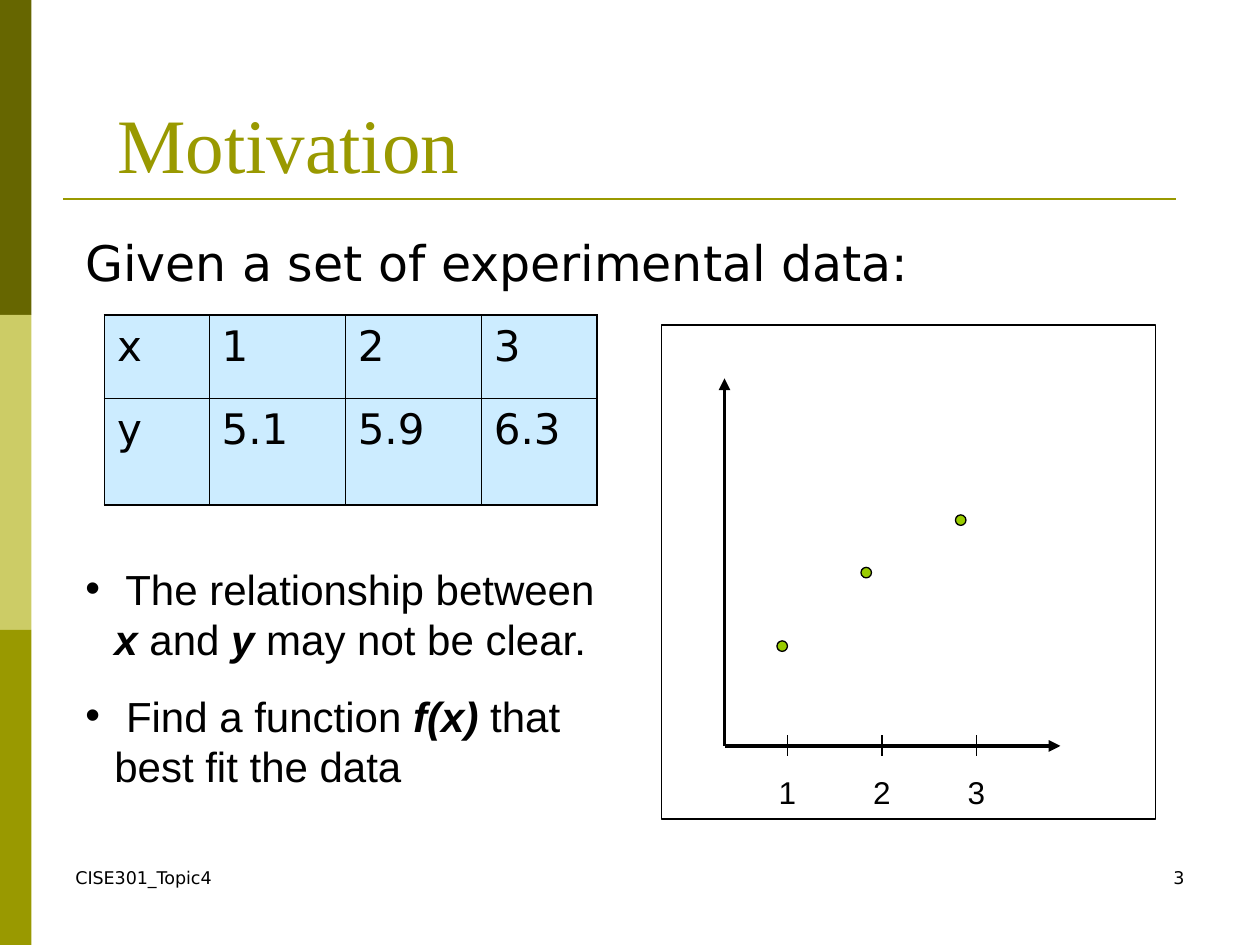
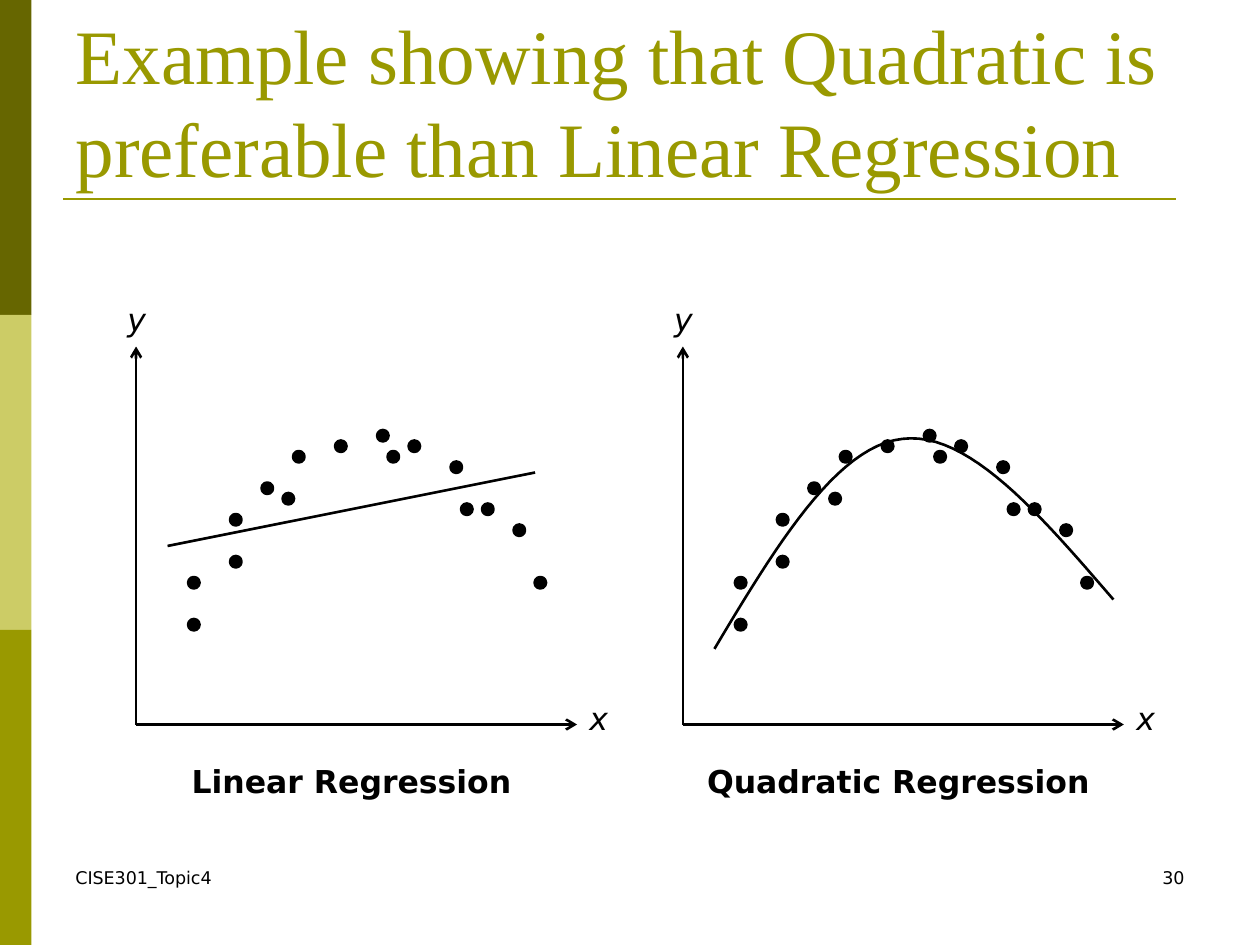
from lxml import etree
from pptx import Presentation
from pptx.dml.color import RGBColor
from pptx.enum.shapes import MSO_CONNECTOR, MSO_SHAPE
from pptx.enum.text import MSO_ANCHOR, MSO_AUTO_SIZE, PP_ALIGN
from pptx.oxml.ns import qn
from pptx.util import Inches, Pt

LEFT, CENTER, RIGHT = PP_ALIGN.LEFT, PP_ALIGN.CENTER, PP_ALIGN.RIGHT
RECTANGLE, OVAL = MSO_SHAPE.RECTANGLE, MSO_SHAPE.OVAL
STRAIGHT = MSO_CONNECTOR.STRAIGHT

COLORS = {
    "ink": "000000",
    "olive": "999900",
    "dark_olive": "666600",
    "pale_olive": "CCCC66",
    "cell": "CCECFF",
    "lime": "99CC00",
}
SANS, ARIAL, SERIF = "DejaVu Sans", "Arial", "Times New Roman"
LEADING = 1.2
UNIT = 1 / 12  # plots are laid out on a grid of twelfths of an inch

FOOTER = "CISE301_Topic4"
BANDS = ["dark_olive", "pale_olive", "olive"]

# Slide "Motivation"
INTRO = "Given a set of experimental data:"
DATA = [["x", "1", "2", "3"], ["y", "5.1", "5.9", "6.3"]]
COLUMN_WIDTHS = [0.83, 1.08, 1.08, 0.92]
ROW_HEIGHTS = [0.66, 0.85]
# Each point is a list of (text, emphasised)
POINTS = [
    [(" The relationship between ", False), ("x", True), (" and ", False),
     ("y", True), (" may not be clear.", False)],
    [(" Find a function ", False), ("f(x)", True),
     (" that best fit the data", False)],
]
# Plot values are grid units (across, up) from the origin of the axes
EXPERIMENT_DOTS = [(5, 10), (13, 17), (22, 22)]
TICKS = [("1", 6), ("2", 15), ("3", 24)]

# Slide on the two regressions
SAMPLE_DOTS = [
    (5, 10), (5, 14), (9, 16), (9, 20), (12, 23), (14, 22), (15, 26), (19, 27),
    (23, 28), (24, 26), (26, 27), (30, 25), (31, 21), (33, 21), (36, 19), (38, 14),
]
FIT_LINE = [(3, 17), (38, 24)]
FIT_CURVE = [
    [(3, 7.2), (8.8, 16.9), (14.6, 26.5), (20.9, 27.2)],
    [(20.9, 27.2), (27.2, 28), (34.1, 19.9), (41, 11.9)],
]
REGRESSIONS = [
    ("Linear Regression", 1.08),
    ("Quadratic Regression", 5.42),
]


def color(name):
    return RGBColor.from_string(COLORS[name])


def format_runs(paragraph, font, size, tint="ink", align=LEFT, bold=False, italic=False):
    paragraph.alignment = align
    paragraph.line_spacing = Pt(size * LEADING)
    for run in paragraph.runs:
        run.font.name, run.font.size = font, Pt(size)
        run.font.bold, run.font.italic = bold, italic
        run.font.color.rgb = color(tint)


def add_text(slide, text, left, top, width, height, font, size, **style):
    box = slide.shapes.add_textbox(
        Inches(left), Inches(top), Inches(width), Inches(height))
    frame = box.text_frame
    frame.word_wrap = True
    frame.text = text
    format_runs(frame.paragraphs[0], font, size, **style)
    return frame


def add_shape(slide, kind, left, top, width, height, fill=None, line_width=None):
    shape = slide.shapes.add_shape(
        kind, Inches(left), Inches(top), Inches(width), Inches(height))
    shape.shadow.inherit = False
    if fill:
        shape.fill.solid()
        shape.fill.fore_color.rgb = color(fill)
    else:
        shape.fill.background()
    if line_width:
        shape.line.color.rgb = color("ink")
        shape.line.width = Pt(line_width)
    else:
        shape.line.fill.background()


def add_line(slide, start, end, width, tint="ink", head=None):
    line = slide.shapes.add_connector(STRAIGHT, *map(Inches, (*start, *end)))
    line.line.color.rgb = color(tint)
    line.line.width = Pt(width)
    if head:
        etree.SubElement(line.line._get_or_add_ln(), qn("a:tailEnd"), type=head)
    etree.SubElement(line._element.spPr, qn("a:effectLst"))


def add_slide(prs, title, title_box, number):
    """Add a slide with its side bands, title, rule and footers."""
    slide = prs.slides.add_slide(prs.slide_layouts[5])
    for row, band in enumerate(BANDS):
        add_shape(slide, RECTANGLE, 0, 2.5 * row, 0.25, 2.5, band)
    add_line(slide, (0.5, 1.58), (9.33, 1.58), 1.5, "olive")

    heading = slide.shapes.title
    heading.left, heading.top, heading.width, heading.height = map(Inches, title_box)
    frame = heading.text_frame
    frame.text = title
    frame.word_wrap = True
    frame.auto_size = MSO_AUTO_SIZE.NONE
    frame.vertical_anchor = MSO_ANCHOR.BOTTOM
    format_runs(frame.paragraphs[0], SERIF, 44, "olive")

    add_text(slide, FOOTER, 0.5, 6.83, 2.33, 0.5, SANS, 10)
    add_text(slide, str(number), 7.17, 6.83, 2.33, 0.5, SANS, 10, align=RIGHT)
    return slide


def place(origin, spot):
    """Turn grid units from the origin of a plot into inches on the slide."""
    return origin[0] + spot[0] * UNIT, origin[1] - spot[1] * UNIT


def add_axes(slide, origin, across, up, width, head):
    for tip in ((across, 0), (0, up)):
        add_line(slide, origin, place(origin, tip), width, head=head)


def add_dots(slide, origin, dots, fill, line_width):
    for dot in dots:
        add_shape(slide, OVAL, *place(origin, dot), UNIT, UNIT, fill, line_width)


def add_borders(cell, widths):
    """Draw the left, right, top and bottom borders, in this order."""
    properties = cell._tc.get_or_add_tcPr()
    for side, width in zip("LRTB", widths):
        border = etree.SubElement(properties, qn(f"a:ln{side}"), w=str(Pt(width)))
        fill = etree.SubElement(border, qn("a:solidFill"))
        etree.SubElement(fill, qn("a:srgbClr"), val=COLORS["ink"])


def add_data_table(slide):
    rows, columns = len(DATA), len(DATA[0])
    table = slide.shapes.add_table(
        rows, columns, Inches(0.83), Inches(2.5),
        Inches(sum(COLUMN_WIDTHS)), Inches(sum(ROW_HEIGHTS))).table
    for column, width in zip(table.columns, COLUMN_WIDTHS):
        column.width = Inches(width)
    for r, values in enumerate(DATA):
        table.rows[r].height = Inches(ROW_HEIGHTS[r])
        for c, value in enumerate(values):
            cell = table.cell(r, c)
            cell.text = value
            format_runs(cell.text_frame.paragraphs[0], SANS, 24)
            outer = (c == 0, c == columns - 1, r == 0, r == rows - 1)
            add_borders(cell, [1.08 if edge else 0.45 for edge in outer])
            cell.fill.solid()
            cell.fill.fore_color.rgb = color("cell")


def add_points(slide):
    frame = add_text(slide, "", 0.58, 4.42, 4.33, 1.91, ARIAL, 24)
    for index, parts in enumerate(POINTS):
        paragraph = frame.add_paragraph() if index else frame.paragraphs[0]
        properties = paragraph._p.get_or_add_pPr()
        properties.set("marL", str(Inches(0.23)))
        properties.set("indent", str(-Inches(0.23)))
        if index:
            paragraph.space_before = Pt(15)
        etree.SubElement(properties, qn("a:buFont"), typeface=ARIAL)
        etree.SubElement(properties, qn("a:buChar"), char="•")
        for text, _ in parts:
            paragraph.add_run().text = text
        format_runs(paragraph, ARIAL, 24)
        for run, (_, emphasised) in zip(paragraph.runs, parts):
            run.font.bold = run.font.italic = emphasised


def build_motivation(prs):
    slide = add_slide(prs, "Motivation", (0.83, 0.3, 8.17, 1.25), 3)
    add_text(slide, INTRO, 0.58, 1.8, 8.27, 0.6, SANS, 28)
    add_data_table(slide)
    add_points(slide)

    origin = (5.75, 5.92)
    add_shape(slide, RECTANGLE, 5.25, 2.58, 3.92, 3.92, line_width=0.75)
    add_axes(slide, origin, 32, 35, 2.25, "triangle")
    for label, across in TICKS:
        add_line(slide, place(origin, (across, 1)), place(origin, (across, -1)), 0.75)
        left, top = place(origin, (across - 2.5, -2))
        add_text(slide, label, left, top, 5 * UNIT, 0.4, ARIAL, 18, align=CENTER)
    add_dots(slide, origin, EXPERIMENT_DOTS, "lime", 0.75)


def bezier(corners, t):
    weights = ((1 - t) ** 3, 3 * t * (1 - t) ** 2, 3 * t ** 2 * (1 - t), t ** 3)
    return [sum(w * corner[axis] for w, corner in zip(weights, corners))
            for axis in (0, 1)]


def add_curve(slide, origin, steps=24):
    spots = [bezier(piece, step / steps) for piece in FIT_CURVE
             for step in range(steps + 1)]
    outline = [tuple(map(Inches, place(origin, spot))) for spot in spots]
    builder = slide.shapes.build_freeform(*outline[0])
    builder.add_line_segments(outline[1:], close=False)
    curve = builder.convert_to_shape()
    curve.shadow.inherit = False
    curve.fill.background()
    curve.line.color.rgb = color("ink")
    curve.line.width = Pt(1.5)


def build_regressions(prs):
    slide = add_slide(
        prs, "Example showing that Quadratic is preferable than Linear Regression",
        (0.5, 0.33, 9, 1.25), 30)
    for caption, left in REGRESSIONS:
        origin = (left, 5.75)
        add_axes(slide, origin, 42, 36, 1.5, "arrow")
        for name, spot in (("x", (42, 3)), ("y", (-2, 41))):
            add_text(slide, name, *place(origin, spot), 0.33, 0.4, SANS, 18, italic=True)
        if caption.startswith("Linear"):
            start, end = (place(origin, spot) for spot in FIT_LINE)
            add_line(slide, start, end, 1.5)
        else:
            add_curve(slide, origin)
        add_dots(slide, origin, SAMPLE_DOTS, "ink", 2)
        add_text(slide, caption, *place(origin, (0, -3)), 3.42, 0.4, SANS, 18,
                 align=CENTER, bold=True)


def main():
    prs = Presentation()
    prs.slide_width, prs.slide_height = Inches(10), Inches(7.5)
    build_motivation(prs)
    build_regressions(prs)
    prs.save("out.pptx")


if __name__ == "__main__":
    main()
